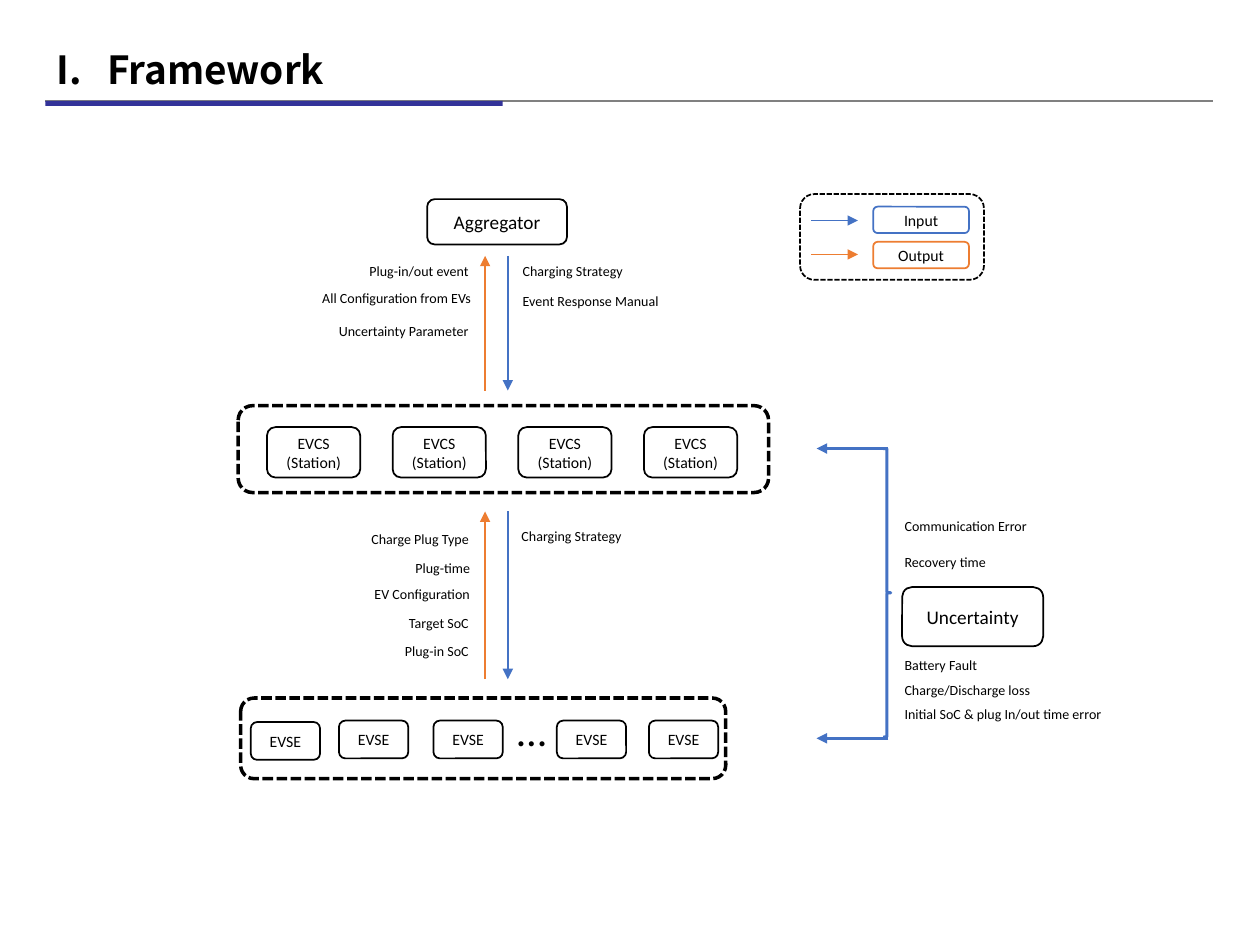
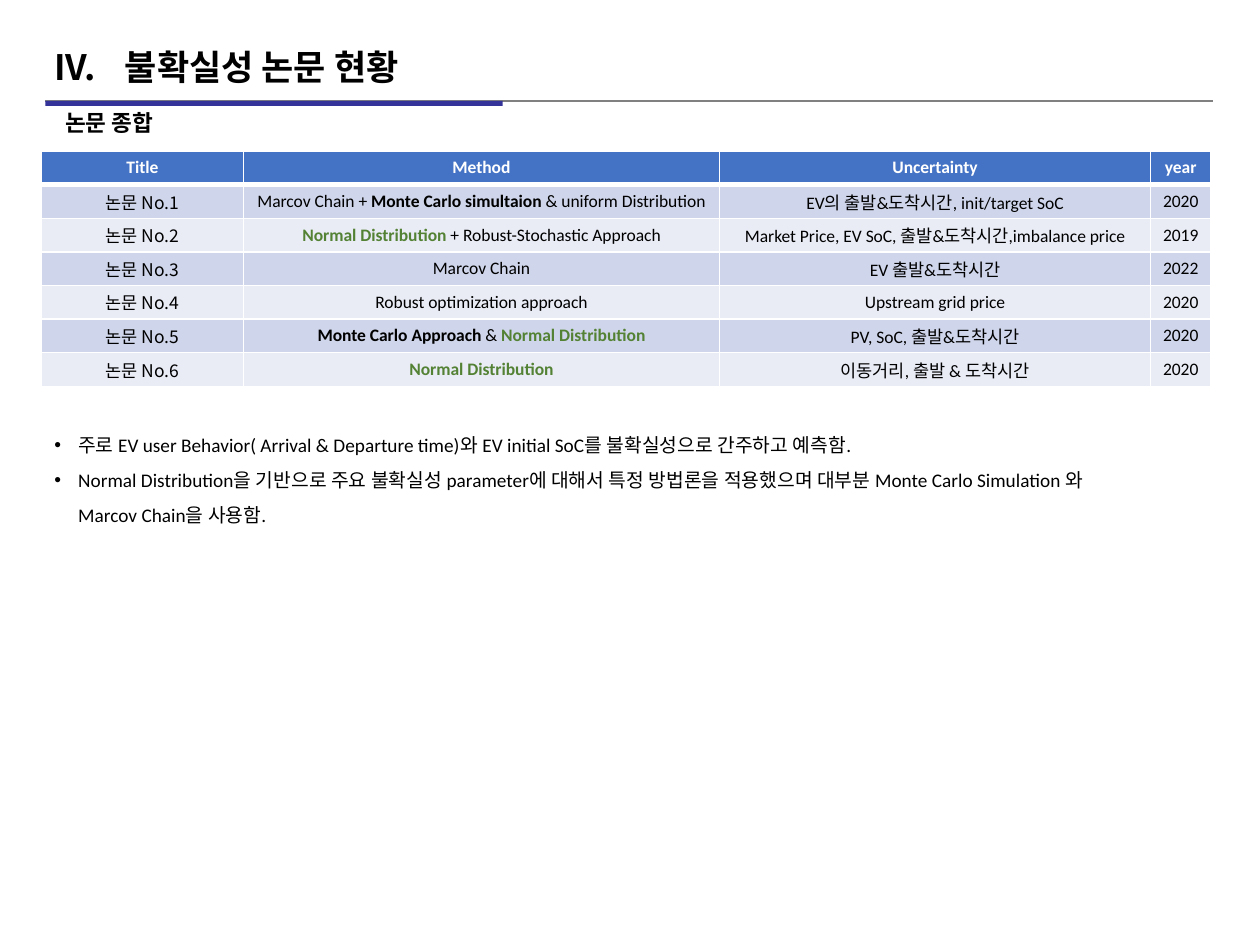
"""Build two slides: a charging framework diagram and a survey of uncertainty papers."""
from lxml import etree
from pptx import Presentation
from pptx import util as u
from pptx.dml.color import RGBColor
from pptx.enum import dml, shapes, text
from pptx.oxml.ns import qn

HUES = {
    "black": "000000", "white": "FFFFFF", "grey": "808080", "navy": "333399",
    "blue": "4472C4", "orange": "ED7D31", "green": "548235",
    "dark": "CFD5EA", "pale": "E9EBF5",
}
RGB = {name: RGBColor.from_string(code) for name, code in HUES.items()}
SANS, CJK = "Calibri", "Noto Sans CJK KR"
KIND, ALIGN = shapes.MSO_SHAPE, text.PP_ALIGN
MID = text.MSO_ANCHOR.MIDDLE


def say(par, words, size, face=SANS, bold=False, hue="black"):
    run = par.add_run()
    run.text = words
    font = run.font
    font.size, font.name, font.bold = u.Pt(size), face, bold
    font.color.rgb = RGB[hue]
    etree.SubElement(run._r.get_or_add_rPr(), qn("a:ea"), typeface=CJK)


def box(page, frame, words="", size=9, hue="black", width=1, dash=False, kind=KIND.ROUNDED_RECTANGLE):
    shape = page.shapes.add_shape(kind, *[u.Pt(n) for n in frame])
    shape.shadow.inherit = False
    shape.fill.background()
    shape.line.color.rgb = RGB[hue]
    shape.line.width = u.Pt(width)
    if dash:
        shape.line.dash_style = dml.MSO_LINE.SQUARE_DOT
    if words:
        body = shape.text_frame
        body.margin_left = body.margin_right = body.margin_top = body.margin_bottom = 0
        body.vertical_anchor = MID
        for i, line in enumerate(words.split("\n")):
            par = body.add_paragraph() if i else body.paragraphs[0]
            par.alignment = ALIGN.CENTER
            say(par, line, size)
    return shape


deck = Presentation()
deck.slide_width, deck.slide_height = u.Pt(720), u.Pt(540)
plan = deck.slides.add_slide(deck.slide_layouts[5])
study = deck.slides.add_slide(deck.slide_layouts[1])
master = deck.slide_master.shapes.element

lists = []
heads = [
    (plan, "Framework", 22.1, (25.2, 23, 702, 36), 28.8, 1),
    (study, "불확실성 논문 현황", 20, (23.8, 21.6, 702, 36), 40.3, 4),
]
for page, words, size, frame, dent, start in heads:
    head = page.shapes.title
    head.left, head.top, head.width, head.height = [u.Pt(n) for n in frame]
    head.text_frame.vertical_anchor = MID
    head.text_frame.auto_size = text.MSO_AUTO_SIZE.NONE
    par = head.text_frame.paragraphs[0]
    par.alignment, par.line_spacing = ALIGN.LEFT, 0.9
    say(par, words, size, CJK, True)
    lists.append((par, dent, "a:buAutoNum", {"type": "romanUcPeriod", "startAt": str(start)}))

lines = [(25.9, 57.6, 693.4, 57.6, "grey", 1, False)]
for top, base in [(146.2, 223.2), (292.3, 388.1)]:
    lines.append((277.2, base, 277.2, top, "orange", 1, True))
    lines.append((290.2, top, 290.2, base, "blue", 1, True))
for y, hue in [(126, "blue"), (145.4, "orange")]:
    lines.append((463.7, y, 490.3, y, hue, 1, True))
for y in (256.3, 421.9):
    lines.append((507.6, y, 466.6, y, "blue", 2, True))
for *ends, hue, width, tip in lines:
    link = plan.shapes.add_connector(shapes.MSO_CONNECTOR.STRAIGHT, *[u.Pt(n) for n in ends])
    link.line.color.rgb = RGB[hue]
    link.line.width = u.Pt(width)
    props = link.element.spPr
    etree.SubElement(props, qn("a:effectLst"))
    if tip:
        etree.SubElement(props.find(qn("a:ln")), qn("a:tailEnd"), type="triangle")
    else:
        master.append(link.element)

bar = box(plan, (25.9, 57.6, 261.4, 2.9), kind=KIND.RECTANGLE)
bar.fill.solid()
bar.fill.fore_color.rgb = RGB["navy"]
bar.line.fill.background()
master.append(bar.element)

box(plan, (244.1, 113.8, 79.9, 25.9), "Aggregator", 11)
box(plan, (515.5, 335.5, 80.6, 33.8), "Uncertainty", 11)
box(plan, (499, 118.1, 54.7, 15.1), "Input", hue="blue")
box(plan, (499, 138.2, 54.7, 15.1), "Output", hue="orange")
box(plan, (457.2, 110.9, 105.1, 49), dash=True)
for i in range(4):
    box(plan, (152.6 + 71.8 * i, 244.1, 53.3, 28.8), "EVCS\n(Station)")
box(plan, (136.1, 231.8, 303.1, 49.7), width=2, dash=True)
for x, y in [(143.3, 412.6), (193.7, 411.8), (247.7, 411.8), (318.2, 411.8), (370.8, 411.8)]:
    box(plan, (x, y, 39.6, 21.6), "EVSE")
box(plan, (137.5, 398.9, 277.2, 46.1), width=2, dash=True)
box(plan, (504.7, 256.3, 4.3, 164.9), hue="blue", width=1.75, kind=KIND.RIGHT_BRACE)

ups = [
    ("Plug-in/out event", 185, 146.2, 90),
    ("All Configuration from EVs", 163.4, 162, 113),
    ("Uncertainty Parameter", 176.4, 180.7, 98.6),
    ("Charge Plug Type", 185.8, 299.5, 89.3),
    ("Plug-time", 208.8, 316.1, 67),
    ("EV Configuration", 191.5, 331.2, 84.2),
    ("Target SoC", 212.4, 347.8, 62.6),
    ("Plug-in SoC", 212.4, 363.6, 62.6),
]
downs = [
    ("Charging Strategy", 291.6, 146.2, 97.9),
    ("Event Response Manual", 291.6, 163.4, 110.9),
    ("Charging Strategy", 290.9, 298.1, 99.4),
    ("Communication Error", 509.8, 292.3, 92.9),
    ("Recovery time", 509.8, 312.5, 135.4),
    ("Battery Fault", 509.8, 371.5, 92.9),
    ("Charge/Discharge loss", 509.8, 385.9, 105.8),
    ("Initial SoC & plug In/out time error", 509.8, 399.6, 135.4),
]
dots = [("…", 285.8, 398.9, 36)]
for group, side, size, high in [
    (ups, ALIGN.RIGHT, 8, 17.3), (downs, ALIGN.LEFT, 8, 17.3), (dots, ALIGN.CENTER, 24, 36),
]:
    for words, x, y, wide in group:
        note = plan.shapes.add_textbox(u.Pt(x), u.Pt(y), u.Pt(wide), u.Pt(high)).text_frame
        note.word_wrap = True
        note.auto_size = text.MSO_AUTO_SIZE.SHAPE_TO_FIT_TEXT
        par = note.paragraphs[0]
        par.alignment = side
        say(par, words, size)

sub = box(study, (30.2, 59, 661.7, 25.9))
sub.adjustments[0] = 0
sub.line.fill.background()
sub.text_frame.vertical_anchor = text.MSO_ANCHOR.TOP
par = sub.text_frame.paragraphs[0]
par.alignment, par.space_before = ALIGN.LEFT, u.Pt(5.5)
say(par, "논문 종합", 12.9, CJK, True)

BOLD, GREEN = (True, "black"), (True, "green")
papers = [
    ([("Marcov Chain + ",), ("Monte Carlo simultaion ", *BOLD), ("& uniform Distribution",)],
     "EV의 출발&도착시간, init/target SoC", "2020"),
    ([("Normal Distribution ", *GREEN), ("+ Robust-Stochastic Approach",)],
     "Market Price, EV SoC, 출발&도착시간,imbalance price", "2019"),
    ([("Marcov Chain",)], "EV 출발&도착시간", "2022"),
    ([("Robust optimization approach",)], "Upstream grid price", "2020"),
    ([("Monte Carlo Approach ", *BOLD), ("& ",), ("Normal Distribution", *GREEN)],
     "PV, SoC, 출발&도착시간", "2020"),
    ([("Normal Distribution", *GREEN)], "이동거리, 출발 & 도착시간", "2020"),
]
rows = [[[(name, True, "white")] for name in ("Title", "Method", "Uncertainty", "year")]]
for i, (method, doubt, year) in enumerate(papers, 1):
    rows.append([[(f"논문 No.{i}",)], method, [(doubt,)], [(year,)]])

wides = [115.2, 272.2, 246.2, 34.6]
grid = study.shapes.add_table(
    len(rows), len(wides), u.Pt(23.8), u.Pt(86.4), u.Pt(sum(wides)), u.Pt(19.2 * len(rows))).table
for col, wide in zip(grid.columns, wides):
    col.width = u.Pt(wide)
for r, row in enumerate(rows):
    grid.rows[r].height = u.Pt(19.2)
    for c, runs in enumerate(row):
        cell = grid.cell(r, c)
        cell.margin_left = cell.margin_right = cell.margin_top = cell.margin_bottom = 0
        cell.vertical_anchor = MID
        cell.fill.solid()
        cell.fill.fore_color.rgb = RGB["blue" if r == 0 else "dark" if r % 2 else "pale"]
        par = cell.text_frame.paragraphs[0]
        par.alignment = ALIGN.CENTER
        for words, *style in runs:
            say(par, words, 10, CJK if r and c == 0 else SANS, *style)
        props = cell._tc.get_or_add_tcPr()
        for i, side in enumerate("LRTB"):
            thick = 3 if (r, side) in [(0, "B"), (1, "T")] else 1
            edge = etree.Element(qn("a:ln" + side), w=str(u.Pt(thick)))
            fill = etree.SubElement(edge, qn("a:solidFill"))
            etree.SubElement(fill, qn("a:srgbClr"), val=HUES["white"])
            props.insert(i, edge)

body = study.placeholders[1]
body.left, body.top, body.width, body.height = [u.Pt(n) for n in (23.8, 237.6, 614.2, 64.8)]
body.text_frame.auto_size = text.MSO_AUTO_SIZE.SHAPE_TO_FIT_TEXT
points = [
    "주로 EV user Behavior( Arrival & Departure time)와 EV initial SoC를 불확실성으로 간주하고 예측함.",
    "Normal Distribution을 기반으로 주요 불확실성 parameter에 대해서 특정 방법론을 적용했으며 "
    "대부분 Monte Carlo Simulation 와 Marcov Chain을 사용함.",
]
for i, words in enumerate(points):
    par = body.text_frame.add_paragraph() if i else body.text_frame.paragraphs[0]
    par.line_spacing, par.space_before = 1.5, u.Pt(0)
    say(par, words, 11)
    lists.append((par, 13.7, "a:buChar", {"char": "•"}))

for par, dent, tag, marks in lists:
    props = par._p.get_or_add_pPr()
    props.set("marL", str(u.Pt(dent)))
    props.set("indent", str(-u.Pt(dent)))
    etree.SubElement(props, qn(tag), **marks)

deck.save("out.pptx")
